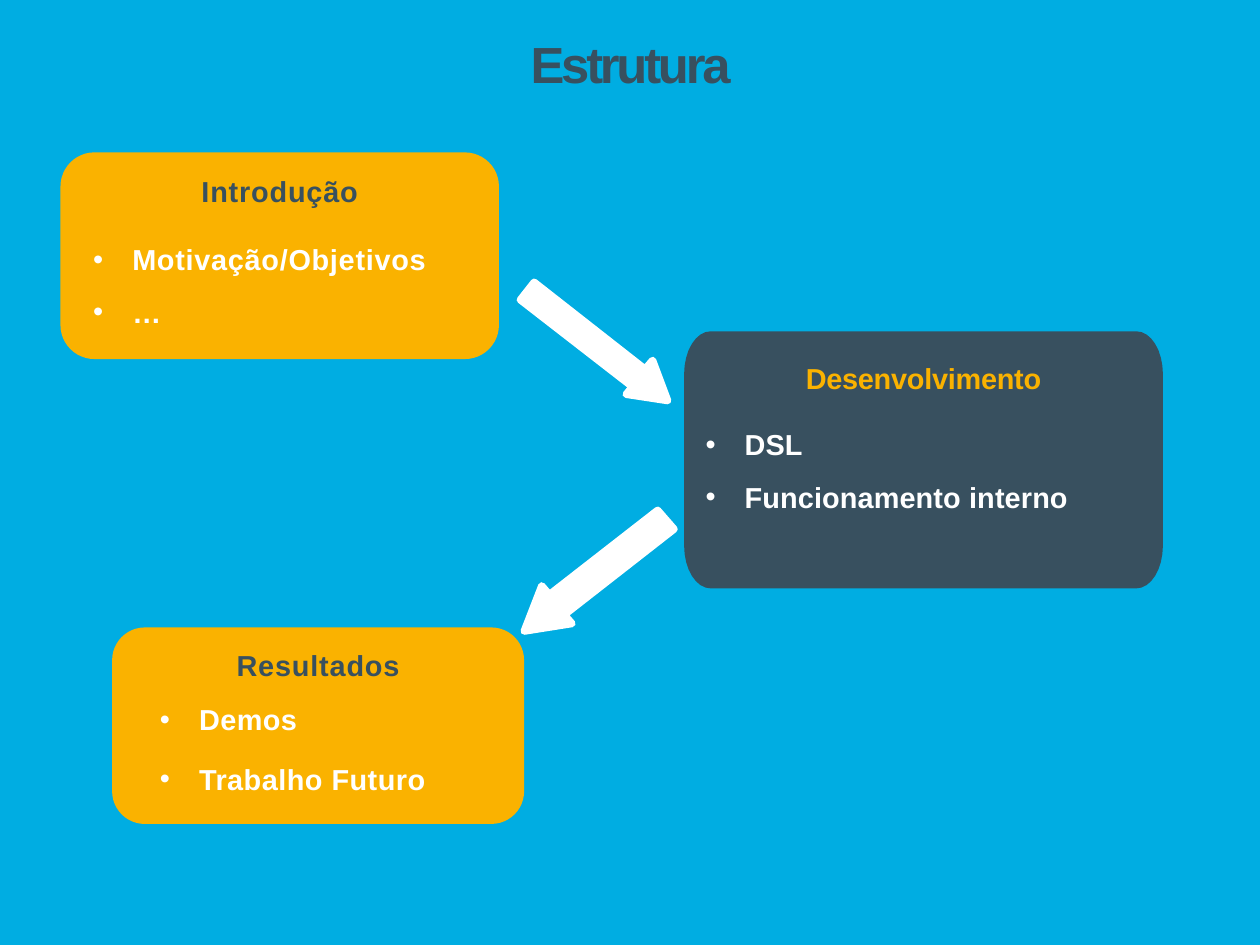
from math import cos, pi, sin

from lxml.etree import SubElement
from pptx import Presentation
from pptx.dml.color import RGBColor
from pptx.enum.shapes import MSO_SHAPE as Shape
from pptx.enum.text import PP_ALIGN as Align
from pptx.oxml.ns import qn
from pptx.util import Inches, Pt

BLUE, SLATE, AMBER, WHITE = "00ADE2", "38505F", "FAB200", "FFFFFF"
FONT = "Arial"
BODY_SIZE = 16.5


def color(hex_code):
    return RGBColor.from_string(hex_code)


def paint(shape, fill):
    shape.shadow.inherit = False
    shape.fill.solid()
    shape.fill.fore_color.rgb = color(fill)
    shape.line.fill.background()


def add_card(page, left, top, width, height, radius, fill):
    card = page.shapes.add_shape(Shape.ROUNDED_RECTANGLE, Inches(left), Inches(top),
                                 Inches(width), Inches(height))
    card.adjustments[0] = radius / min(width, height)
    paint(card, fill)


def add_polygon(page, points, fill):
    """Add a closed outline through points given in inches."""
    start, *others = [(Inches(x), Inches(y)) for x, y in points]
    builder = page.shapes.build_freeform(*start)
    builder.add_line_segments(others, close=True)
    polygon = builder.convert_to_shape()
    paint(polygon, fill)
    return polygon


def add_oval_corner_card(page, left, top, width, height, radius_x, radius_y, fill):
    """Add a card whose corners are quarter ellipses."""
    right, bottom = left + width, top + height
    centers = [(right - radius_x, bottom - radius_y), (left + radius_x, bottom - radius_y),
               (left + radius_x, top + radius_y), (right - radius_x, top + radius_y)]
    steps = 8
    points = []
    for quarter, (x, y) in enumerate(centers):
        for step in range(steps + 1):
            angle = (quarter + step / steps) * pi / 2
            points.append((x + radius_x * cos(angle), y + radius_y * sin(angle)))
    add_polygon(page, points, fill)


def add_block_arrow(page, points):
    arrow = add_polygon(page, points, WHITE)
    arrow.line.color.rgb = color(WHITE)
    arrow.line.width = Pt(4.17)
    SubElement(arrow.line._get_or_add_ln(), qn("a:round"))


def add_text_box(page, left, top, width, height, inset_top=0.02):
    box = page.shapes.add_textbox(Inches(left), Inches(top), Inches(width), Inches(height))
    frame = box.text_frame
    frame.word_wrap = True
    frame.margin_left = frame.margin_right = frame.margin_bottom = 0
    frame.margin_top = Inches(inset_top)
    return frame


def add_span(para, text, size, fill, spacing):
    span = para.add_run()
    span.text = text
    span.font.name = FONT
    span.font.size = Pt(size)
    span.font.bold = True
    span.font.color.rgb = color(fill)
    span._r.get_or_add_rPr().set("spc", str(round(spacing * 100)))


def add_heading(page, text, left, top, width, fill, spacing, size=BODY_SIZE, height=0.29):
    para = add_text_box(page, left, top, width, height).paragraphs[0]
    para.alignment = Align.CENTER
    add_span(para, text, size, fill, spacing)


def add_bullets(page, items, left, top, width, height, gap, spacing):
    frame = add_text_box(page, left, top, width, height, inset_top=0.14)
    for index, item in enumerate(items):
        para = frame.paragraphs[0] if index == 0 else frame.add_paragraph()
        if index:
            para.space_before = Pt(gap)
        add_span(para, item, BODY_SIZE, WHITE, spacing)
        props = para._p.get_or_add_pPr()
        props.set("marL", str(Inches(0.33)))
        props.set("indent", str(Inches(-0.31)))
        SubElement(props, qn("a:buFont")).set("typeface", FONT)
        SubElement(props, qn("a:buChar")).set("char", "•")


def main():
    deck = Presentation()
    deck.slide_width, deck.slide_height = Inches(10), Inches(7.5)
    page = deck.slides.add_slide(deck.slide_layouts[6])
    page.background.fill.solid()
    page.background.fill.fore_color.rgb = color(BLUE)

    add_heading(page, "Estrutura", 4.17, 0.24, 1.67, SLATE, -1.85, size=29, height=0.5)

    add_card(page, 0.48, 1.21, 3.48, 1.64, 0.27, AMBER)
    add_heading(page, "Introdução", 0.48, 1.36, 3.48, SLATE, 0.5)
    add_bullets(page, ["Motivação/Objetivos", "…"], 0.72, 1.78, 2.8, 1.0, 10.2, 0.45)

    add_oval_corner_card(page, 5.43, 2.63, 3.8, 2.04, 0.21, 0.34, SLATE)
    add_heading(page, "Desenvolvimento", 5.43, 2.84, 3.8, AMBER, -0.1)
    add_bullets(page, ["DSL", "Funcionamento interno"], 5.58, 3.25, 3.28, 1.0, 10.2, 0.1)

    add_card(page, 0.89, 4.98, 3.27, 1.56, 0.26, AMBER)
    add_heading(page, "Resultados", 0.89, 5.12, 3.27, SLATE, 0.5)
    add_bullets(page, ["Demos", "Trabalho Futuro"], 1.25, 5.43, 2.47, 0.9, 14.2, 0.3)

    add_block_arrow(page, [(5.18, 2.86), (5.3, 3.18), (4.97, 3.13), (5.02, 3.07),
                           (4.13, 2.38), (4.24, 2.24), (5.12, 2.93)])
    add_block_arrow(page, [(4.54, 4.95), (4.16, 5.01), (4.3, 4.65), (4.36, 4.72),
                           (5.22, 4.05), (5.35, 4.2), (4.48, 4.88)])

    deck.save("out.pptx")


if __name__ == "__main__":
    main()
